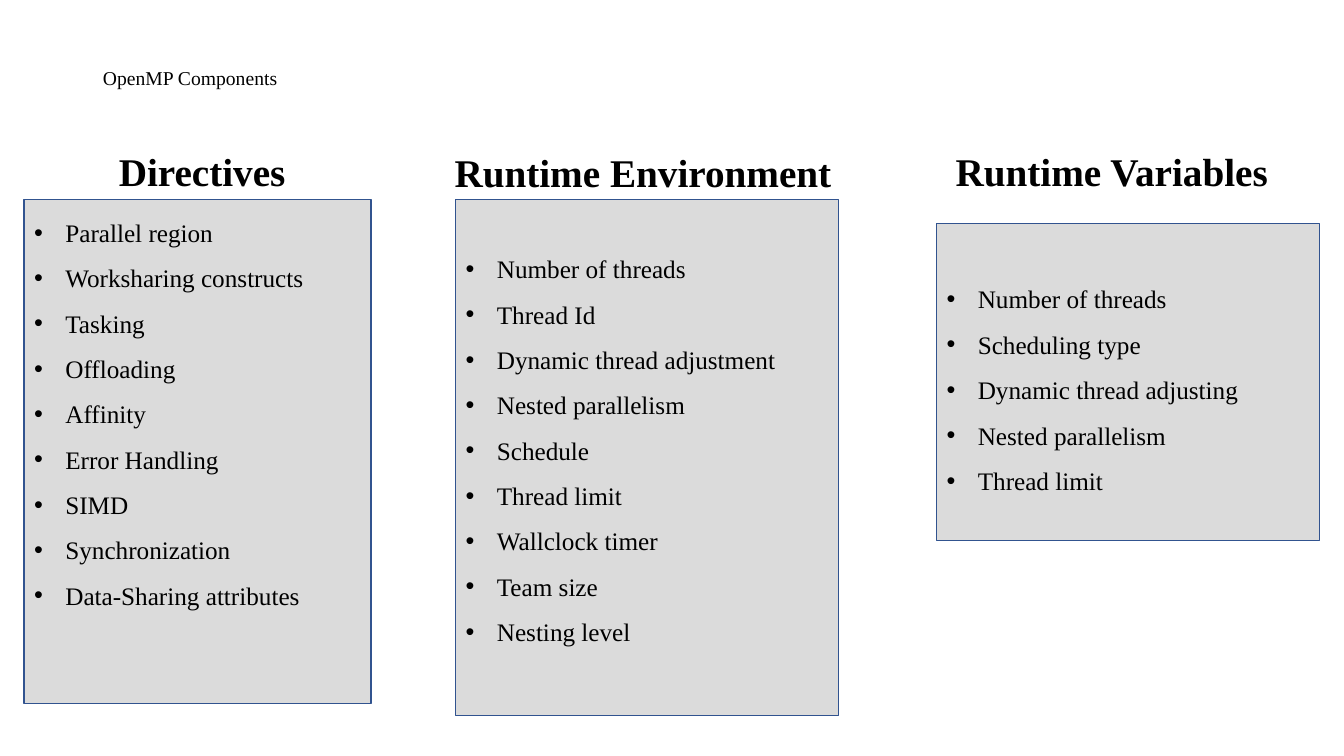
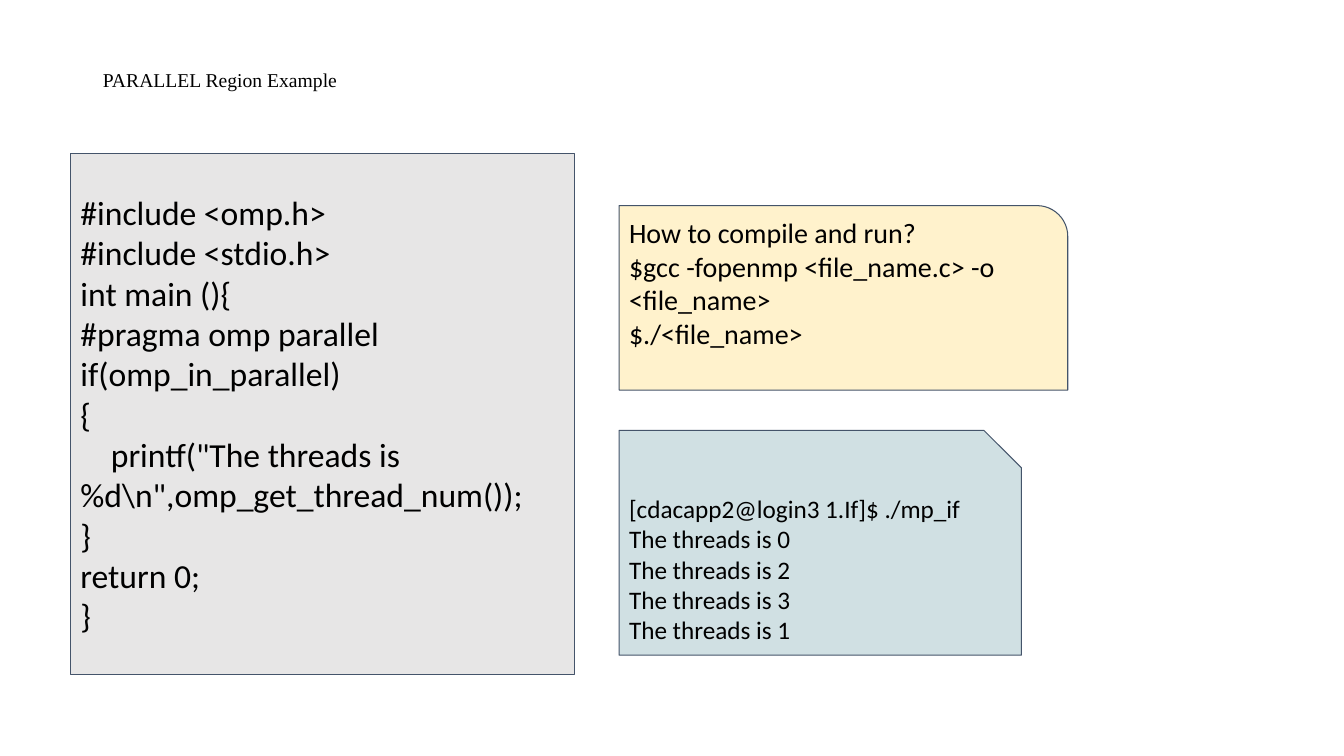
"""Build two slides on OpenMP components and the parallel region."""
import pptx
import pptx.dml.color
import pptx.enum.shapes
import pptx.enum.text
import pptx.oxml.ns
import pptx.util
from lxml import etree

Inches = pptx.util.Inches
RGBColor = pptx.dml.color.RGBColor
Preset = pptx.enum.shapes.MSO_SHAPE
Anchor = pptx.enum.text.MSO_ANCHOR

BLACK = RGBColor(0x00, 0x00, 0x00)
COLUMN_FILL = RGBColor(0xDB, 0xDB, 0xDB)
COLUMN_LINE = RGBColor(0x31, 0x53, 0x8F)
CODE_FILL = RGBColor(0xE7, 0xE6, 0xE6)
COMMAND_FILL = RGBColor(0xFF, 0xF2, 0xCC)
OUTPUT_FILL = RGBColor(0xD0, 0xE0, 0xE3)
PANEL_LINE = RGBColor(0x44, 0x54, 0x6A)
SERIF = "Times New Roman"
SANS = "Calibri"
BULLET_PITCH = 32.4
BULLET_INDENT = 0.31

COLUMNS = [
    dict(heading="Directives", heading_box=(1.08, 1.41, 2.14, 0.57),
         box=(0.24, 1.98, 3.44, 5), bottom=0.95,
         items=["Parallel region", "Worksharing constructs", "Tasking", "Offloading",
                "Affinity", "Error Handling", "SIMD", "Synchronization",
                "Data-Sharing attributes"]),
    dict(heading="Runtime Environment", heading_box=(4.41, 1.42, 4.03, 0.57),
         box=(4.52, 1.98, 3.8, 5.12), bottom=0.35,
         items=["Number of threads", "Thread Id", "Dynamic thread adjustment",
                "Nested parallelism", "Schedule", "Thread limit", "Wallclock timer",
                "Team size", "Nesting level"]),
    dict(heading="Runtime Variables", heading_box=(9.38, 1.41, 3.5, 0.57),
         box=(9.29, 2.22, 3.8, 3.14), bottom=0.05,
         items=["Number of threads", "Scheduling type", "Dynamic thread adjusting",
                "Nested parallelism", "Thread limit"]),
]

PANELS = [
    dict(preset=Preset.RECTANGLE, box=(0.7, 1.52, 5, 5.17), fill=CODE_FILL,
         size=24, anchor=Anchor.MIDDLE, top=0.1,
         lines=["#include <omp.h>", "#include <stdio.h>", "int main (){",
                "#pragma omp parallel    if(omp_in_parallel)", "{",
                "    printf(\"The threads is %d\\n\",omp_get_thread_num());",
                "}", "return 0;", "}"]),
    dict(preset=Preset.ROUND_1_RECTANGLE, box=(6.14, 2.04, 4.45, 1.83),
         fill=COMMAND_FILL, size=20, anchor=Anchor.TOP, top=0.1,
         lines=["How to compile and run?", "$gcc -fopenmp <file_name.c> -o <file_name>",
                "$./<file_name>"]),
    dict(preset=Preset.SNIP_1_RECTANGLE, box=(6.14, 4.27, 3.99, 2.23),
         fill=OUTPUT_FILL, size=18, anchor=Anchor.TOP, top=0.44,
         lines=["[cdacapp2@login3 1.If]$ ./mp_if"]
         + [f"The threads is {thread}" for thread in (0, 2, 3, 1)]),
]


def add_bullet(paragraph):
    properties = paragraph._p.get_or_add_pPr()
    properties.set("marL", str(Inches(BULLET_INDENT)))
    properties.set("indent", str(-Inches(BULLET_INDENT)))
    color = etree.SubElement(properties, pptx.oxml.ns.qn("a:buClr"))
    etree.SubElement(color, pptx.oxml.ns.qn("a:srgbClr"), val=str(BLACK))
    etree.SubElement(properties, pptx.oxml.ns.qn("a:buFont"), typeface="Arial")
    etree.SubElement(properties, pptx.oxml.ns.qn("a:buChar"), char="•")


def write_text(shape, lines, size, font=SERIF, bold=False, anchor=Anchor.TOP,
               top=0.05, bottom=0.05, bullets=False, spacing=None):
    frame = shape.text_frame
    frame.word_wrap = True
    frame.auto_size = pptx.enum.text.MSO_AUTO_SIZE.NONE
    frame.vertical_anchor = anchor
    frame.margin_left = frame.margin_right = Inches(0.1)
    frame.margin_top, frame.margin_bottom = Inches(top), Inches(bottom)
    for index, line in enumerate(lines):
        paragraph = frame.add_paragraph() if index else frame.paragraphs[0]
        if bullets:
            add_bullet(paragraph)
        paragraph.alignment = pptx.enum.text.PP_ALIGN.LEFT
        paragraph.line_spacing = spacing
        run = paragraph.add_run()
        run.text = line
        run.font.name = font
        run.font.size = pptx.util.Pt(size)
        run.font.bold = bold
        run.font.color.rgb = BLACK


def add_panel(slide, preset, box, fill, line, weight):
    shape = slide.shapes.add_shape(preset, *map(Inches, box))
    shape.shadow.inherit = False
    shape.fill.solid()
    shape.fill.fore_color.rgb = fill
    shape.line.color.rgb = line
    shape.line.width = pptx.util.Pt(weight)
    return shape


def add_titled_slide(presentation, text, height):
    slide = presentation.slides.add_slide(presentation.slide_layouts[5])
    title = slide.shapes.title
    title.left, title.top, title.width, title.height = map(Inches, (0.92, 0.4, 11.5, height))
    write_text(title, [text], 14, anchor=Anchor.MIDDLE, spacing=0.9)
    return slide


def add_components_slide(presentation):
    slide = add_titled_slide(presentation, "OpenMP Components", 0.77)
    for column in COLUMNS:
        shape = add_panel(slide, Preset.RECTANGLE, column["box"], COLUMN_FILL, COLUMN_LINE, 1)
        write_text(shape, column["items"], 18, anchor=Anchor.MIDDLE, bullets=True,
                   bottom=column["bottom"], spacing=pptx.util.Pt(BULLET_PITCH))
        heading = slide.shapes.add_textbox(*map(Inches, column["heading_box"]))
        write_text(heading, [column["heading"]], 28, bold=True)


def add_example_slide(presentation):
    slide = add_titled_slide(presentation, "PARALLEL Region Example", 0.82)
    for panel in PANELS:
        shape = add_panel(slide, panel["preset"], panel["box"], panel["fill"], PANEL_LINE, 0.75)
        write_text(shape, panel["lines"], panel["size"], font=SANS,
                   anchor=panel["anchor"], top=panel["top"], bottom=0.1)


def main():
    presentation = pptx.Presentation()
    presentation.slide_width = Inches(13.33)
    presentation.slide_height = Inches(7.5)
    add_components_slide(presentation)
    add_example_slide(presentation)
    presentation.save("out.pptx")


if __name__ == "__main__":
    main()
